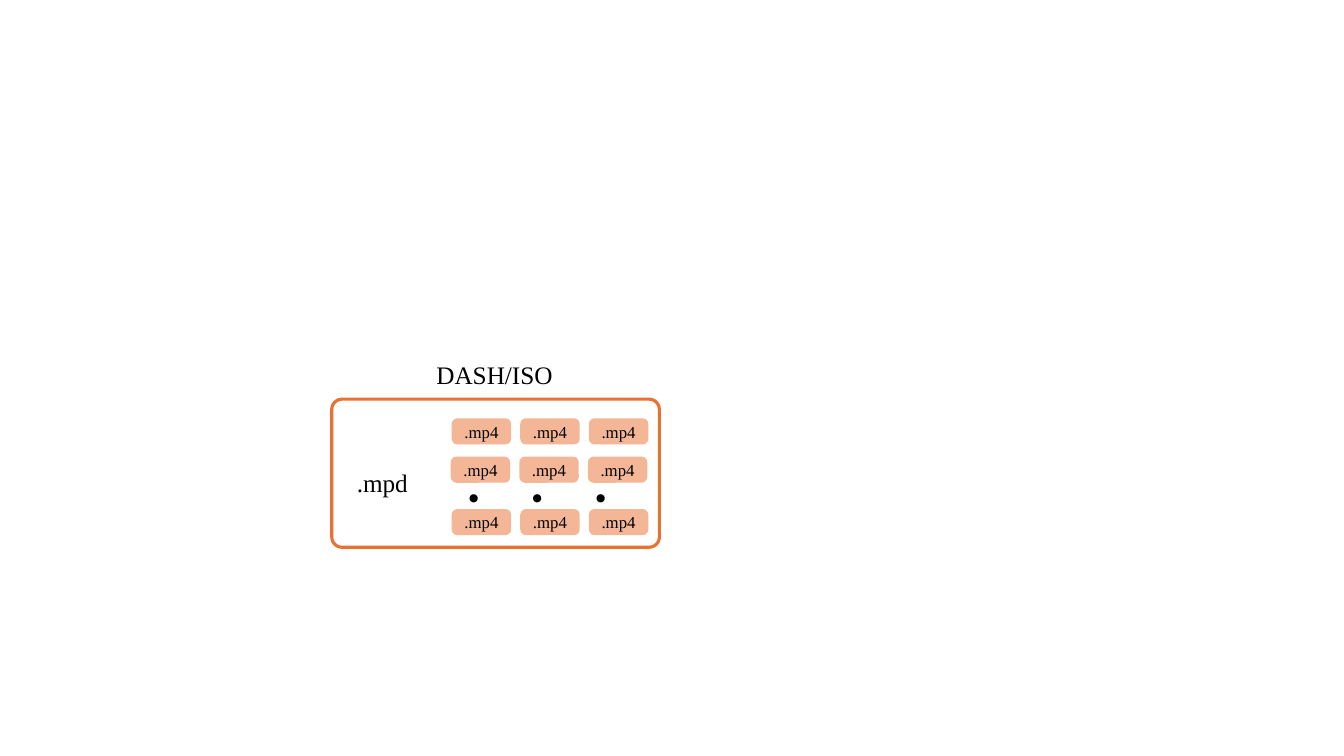
from lxml.etree import SubElement
from pptx import Presentation
from pptx.dml.color import RGBColor
from pptx.enum.shapes import MSO_SHAPE
from pptx.enum.text import MSO_ANCHOR, PP_ALIGN
from pptx.oxml.ns import qn
from pptx.util import Inches, Pt

ORANGE = RGBColor(0xE9, 0x71, 0x32)
WHITE = RGBColor(0xFF, 0xFF, 0xFF)
BLACK = RGBColor(0, 0, 0)


def write(shape, text, size, align, bold=False):
    para = shape.text_frame.paragraphs[0]
    para.alignment = align
    span = para.add_run()
    span.text = text
    font_format = {"name": "Times New Roman", "size": Pt(size), "bold": bold}
    for name, value in font_format.items():
        setattr(span.font, name, value)
    span.font.color.rgb = BLACK
    return para


def add_label(page, left, top, width, text):
    box = page.shapes.add_textbox(
        Inches(left), Inches(top), Inches(width), Inches(0.4))
    box.text_frame.word_wrap = False
    write(box, text, 18, PP_ALIGN.LEFT)


def add_rounded(page, left, top, width, height, corner, color):
    shape = page.shapes.add_shape(
        MSO_SHAPE.ROUNDED_RECTANGLE,
        Inches(left), Inches(top), Inches(width), Inches(height))
    shape.adjustments[0] = corner
    shape.shadow.inherit = False
    shape.fill.solid()
    shape.fill.fore_color.rgb = color
    return shape


def add_segment(page, left, top):
    segment = add_rounded(page, left, top, 0.59, 0.26, 0.22, ORANGE)
    segment.line.fill.background()
    color = segment.fill._xPr.find(qn("a:solidFill"))[0]
    SubElement(color, qn("a:alpha"), val="50000")
    segment.text_frame.word_wrap = True
    segment.text_frame.vertical_anchor = MSO_ANCHOR.MIDDLE
    write(segment, ".mp4", 12, PP_ALIGN.CENTER)


def add_segment_grid(page, left, top):
    row_offsets = [(0.01, 0), (0, 0.38), (0.01, 0.9)]
    for row_left, row_top in row_offsets:
        for column in range(3):
            add_segment(page, left + row_left + column * 0.68, top + row_top)


def add_dots(page, left, top):
    dots = page.shapes.add_textbox(
        Inches(left), Inches(top), Inches(0.39), Inches(2.52))
    dots.rotation = 90
    dots.text_frame.word_wrap = True
    para = write(dots, " . . .", 36, PP_ALIGN.CENTER, bold=True)
    para.line_spacing = 1.05


def add_package(page, left, top):
    frame = add_rounded(page, left, top, 3.25, 1.47, 0.07, WHITE)
    frame.line.color.rgb = ORANGE
    frame.line.width = Pt(2.25)
    add_label(page, left + 0.15, top + 0.63, 0.71, ".mpd")
    add_segment_grid(page, left + 1.18, top + 0.19)
    add_dots(page, left + 2.39, top - 0.27)
    add_label(page, left + 0.94, top - 0.44, 1.37, "DASH/ISO")


def main():
    deck = Presentation()
    deck.slide_width = Inches(13.33)
    deck.slide_height = Inches(7.5)
    page = deck.slides.add_slide(deck.slide_layouts[6])
    add_package(page, 3.29, 3.96)
    deck.save("out.pptx")


if __name__ == "__main__":
    main()
